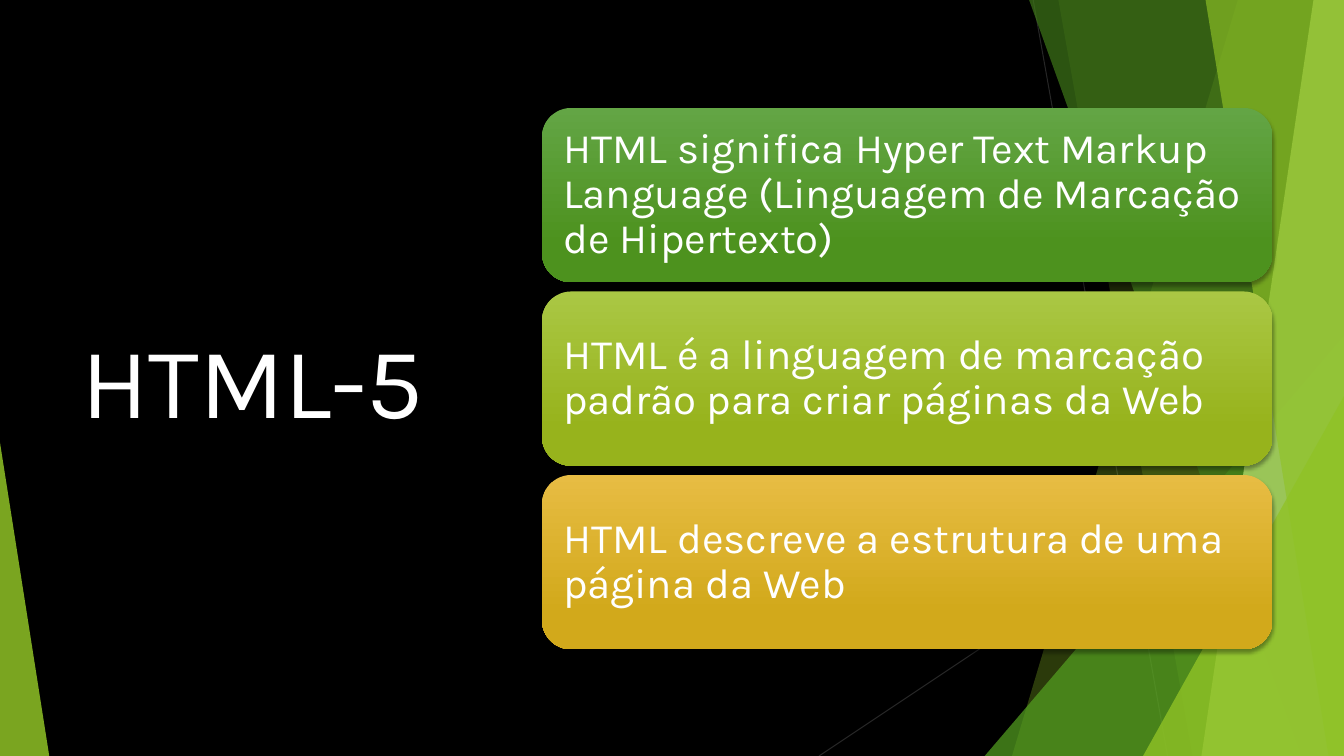
from lxml import etree
from pptx import Presentation
from pptx.dml.color import RGBColor
from pptx.enum.shapes import MSO_CONNECTOR, MSO_SHAPE
from pptx.enum.text import MSO_ANCHOR, PP_ALIGN
from pptx.oxml.ns import qn
from pptx.util import Pt

TRIANGLE = MSO_SHAPE.ISOSCELES_TRIANGLE
ROUNDED = MSO_SHAPE.ROUNDED_RECTANGLE
STRAIGHT = MSO_CONNECTOR.STRAIGHT
MIDDLE = MSO_ANCHOR.MIDDLE
LEFT = PP_ALIGN.LEFT

BLACK = RGBColor(0x00, 0x00, 0x00)
WHITE = RGBColor(0xFF, 0xFF, 0xFF)
GRAY = RGBColor(0x26, 0x26, 0x26)
LIME = RGBColor(0x90, 0xC2, 0x26)
GREEN = RGBColor(0x54, 0xA0, 0x21)
FOREST = RGBColor(0x3F, 0x78, 0x19)
PALE = RGBColor(0xC0, 0xE4, 0x74)
GREEN_TOP = RGBColor(0x63, 0xA5, 0x45)
GREEN_END = RGBColor(0x4D, 0x92, 0x1E)
OLIVE_TOP = RGBColor(0xAA, 0xC7, 0x44)
OLIVE_END = RGBColor(0x97, 0xB3, 0x1C)
GOLD_TOP = RGBColor(0xE7, 0xBC, 0x43)
GOLD_END = RGBColor(0xD2, 0xA9, 0x1B)

W, H = 960, 540


def set_text(s, text, size, inset, spacing=1.0):
    tf = s.text_frame
    tf.word_wrap = True
    tf.vertical_anchor = MIDDLE
    tf.margin_left = tf.margin_right = Pt(inset)
    tf.margin_top = tf.margin_bottom = Pt(inset)
    p = tf.paragraphs[0]
    p.alignment = LEFT
    p.line_spacing = spacing
    r = p.add_run()
    r.text = text
    r.font.name = "Karla"
    r.font.size = Pt(size)
    r.font.color.rgb = WHITE


def paint(s, color, opacity):
    s.shadow.inherit = False
    s.line.fill.background()
    s.fill.solid()
    s.fill.fore_color.rgb = color
    clr = s._element.spPr.find(".//" + qn("a:srgbClr"))
    etree.SubElement(clr, qn("a:alpha"), val=str(opacity * 1000))


prs = Presentation()
prs.slide_width, prs.slide_height = Pt(W), Pt(H)
slide = prs.slides.add_slide(prs.slide_layouts[6])
slide.background.fill.solid()
slide.background.fill.fore_color.rgb = BLACK
shapes = slide.shapes

for x1, y1, x2, y2 in [(738, 0, 834, H), (W, 290, 585, H)]:
    line = shapes.add_connector(STRAIGHT, Pt(x1), Pt(y1), Pt(x2), Pt(y2))
    line.line.color.rgb = GRAY
    line.line.width = Pt(0.75)
    etree.SubElement(line._element.spPr, qn("a:effectLst"))

facets = [
    (884.2, 0, 722.9, LIME, 30),
    (756, 0, 851.8, LIME, 20),
    (W, 239.8, 703.4, GREEN, 72),
    (735.1, 0, 929.5, FOREST, 70),
    (938.2, 0, 858.2, PALE, 70),
    (861.1, 0, 949, LIME, 65),
    (W, 283, 816.5, LIME, 80),
]
for top_x, top_y, bottom_x, color, opacity in facets:
    if top_x == W:
        s = shapes.add_shape(TRIANGLE, Pt(bottom_x), Pt(top_y), Pt(W - bottom_x), Pt(H - top_y))
        s.adjustments[0] = 1
    else:
        outline = shapes.build_freeform(Pt(top_x), Pt(top_y))
        outline.add_line_segments([(Pt(W), Pt(top_y)), (Pt(W), Pt(H)), (Pt(bottom_x), Pt(H))])
        s = outline.convert_to_shape()
    paint(s, color, opacity)

s = shapes.add_shape(TRIANGLE, Pt(0), Pt(316), Pt(35.2), Pt(224))
s.adjustments[0] = 0
paint(s, LIME, 85)

title = shapes.add_textbox(Pt(51), Pt(108.7), Pt(279.4), Pt(322.6))
set_text(title, "HTML-5", size=72, inset=7.2)

cards = [
    ("HTML significa Hyper Text Markup Language (Linguagem de Marcação de Hipertexto)", GREEN_TOP, GREEN_END),
    ("HTML é a linguagem de marcação padrão para criar páginas da Web", OLIVE_TOP, OLIVE_END),
    ("HTML descreve a estrutura de uma página da Web", GOLD_TOP, GOLD_END),
]
for i, (text, top_color, end_color) in enumerate(cards):
    s = shapes.add_shape(ROUNDED, Pt(387.2), Pt(77.1 + i * 131.1), Pt(521.8), Pt(124.5))
    s.line.fill.background()
    s.fill.gradient()
    s.fill.gradient_angle = 270
    first, last = s.fill.gradient_stops
    first.color.rgb, first.position = top_color, 0
    last.color.rgb, last.position = end_color, 0.78
    s.shadow.inherit = False
    effects = s._element.spPr.find(qn("a:effectLst"))
    shadow = etree.SubElement(effects, qn("a:outerShdw"), blurRad=str(Pt(3)), dist=str(Pt(2)),
                              dir="5400000", rotWithShape="0")
    clr = etree.SubElement(shadow, qn("a:srgbClr"), val=str(BLACK))
    etree.SubElement(clr, qn("a:alpha"), val="35000")
    set_text(s, text, size=30, inset=9, spacing=0.9)

prs.save("out.pptx")
